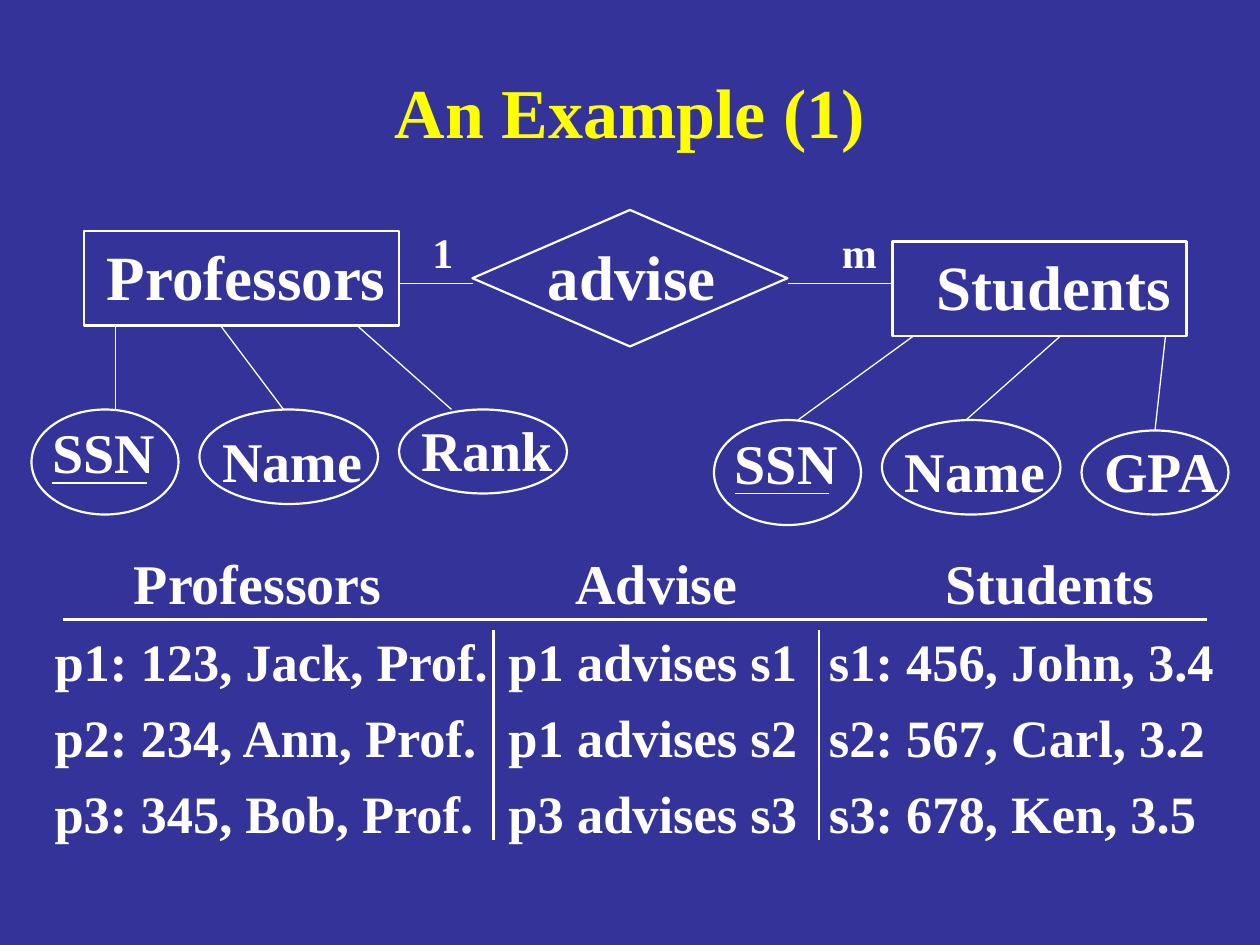
from dataclasses import dataclass

from lxml.etree import SubElement
from pptx import Presentation
from pptx.dml.color import RGBColor
from pptx.enum.shapes import MSO_CONNECTOR, MSO_SHAPE
from pptx.enum.text import MSO_ANCHOR, MSO_AUTO_SIZE, PP_ALIGN
from pptx.oxml.ns import qn
from pptx.util import Cm, Pt


@dataclass(frozen=True)
class Theme:
    font: str = "Times New Roman"
    background: RGBColor = RGBColor(0x33, 0x33, 0x99)
    title_color: RGBColor = RGBColor(0xFF, 0xFF, 0x00)
    ink: RGBColor = RGBColor(0xFF, 0xFF, 0xFF)
    title: int = 40
    entity: int = 36
    attribute: int = 32
    cardinality: int = 24
    header: int = 32
    row: int = 30
    thin: float = 0.75
    outline: float = 1.25
    rule: float = 1.5


def grid(n):
    """Length of n grid units; the slide is 120 units wide and 90 high."""
    return Cm(n * 25.4 / 120)


class Deck:
    def __init__(self, prs, theme):
        self.prs, self.theme, self.s = prs, theme, None

    def add_slide(self, title):
        self.s = self.prs.slides.add_slide(self.prs.slide_layouts[5])
        fill = self.s.background.fill
        fill.solid()
        fill.fore_color.rgb = self.theme.background
        sp = self.s.shapes.title
        sp.left, sp.top, sp.width, sp.height = map(grid, (9, 5, 102, 11))
        tf = sp.text_frame
        tf.text = title
        tf.auto_size = MSO_AUTO_SIZE.NONE
        tf.vertical_anchor = MSO_ANCHOR.MIDDLE
        tf.paragraphs[0].alignment = PP_ALIGN.CENTER
        self.style(tf, self.theme.title, self.theme.title_color)

    def style(self, tf, size, color=None):
        for p in tf.paragraphs:
            for r in p.runs:
                r.font.name = self.theme.font
                r.font.size = Pt(size)
                r.font.bold = True
                r.font.color.rgb = color or self.theme.ink

    def outline(self, kind, box):
        sp = self.s.shapes.add_shape(kind, *map(grid, box))
        sp.shadow.inherit = False
        sp.fill.background()
        sp.line.color.rgb = self.theme.ink
        sp.line.width = Pt(self.theme.outline)

    def label(self, text, left, top, width, size):
        box = map(grid, (left, top, width, size * 0.24))
        tf = self.s.shapes.add_textbox(*box).text_frame
        tf.word_wrap = False
        tf.auto_size = MSO_AUTO_SIZE.SHAPE_TO_FIT_TEXT
        tf.text = text
        self.style(tf, size)

    def line(self, x1, y1, x2, y2, width=None):
        ends = map(grid, (x1, y1, x2, y2))
        cn = self.s.shapes.add_connector(MSO_CONNECTOR.STRAIGHT, *ends)
        cn.line.color.rgb = self.theme.ink
        cn.line.width = Pt(width or self.theme.thin)
        SubElement(cn._element.spPr, qn("a:effectLst"))

    def attribute(self, text, ellipse, label, link, key=False):
        self.outline(MSO_SHAPE.OVAL, ellipse)
        self.label(text, *label, self.theme.attribute)
        self.line(*link)
        if key:
            x, y = ellipse[:2]
            self.line(x + 2, y + 7, x + 11, y + 7)

    def table(self, rows, left, top, widths, heights, margins, indents):
        gf = self.s.shapes.add_table(len(rows), len(widths), left, top,
                                     sum(widths), sum(heights))
        tbl = gf.table
        tbl.first_row = tbl.horz_banding = False
        for col, width in zip(tbl.columns, widths):
            col.width = width
        for i, values in enumerate(rows):
            tbl.rows[i].height = heights[i]
            size = self.theme.row if i else self.theme.header
            for j, text in enumerate(values):
                cell = tbl.cell(i, j)
                cell.text = text
                cell.margin_left = margins[j] if i else indents[j]
                cell.margin_right = cell.margin_top = cell.margin_bottom = 0
                self.style(cell.text_frame, size)
                # Borders come before the fill in the cell properties
                pr = cell._tc.get_or_add_tcPr()
                for side in ("a:lnL", "a:lnR", "a:lnT", "a:lnB"):
                    SubElement(SubElement(pr, qn(side)), qn("a:noFill"))
                cell.fill.background()


def main():
    prs = Presentation()
    prs.slide_width, prs.slide_height = Cm(25.4), Cm(19.05)
    theme = Theme()
    deck = Deck(prs, theme)
    deck.add_slide("An Example (1)")

    # Entities and their relationship
    for kind, box, text, label in (
        (MSO_SHAPE.RECTANGLE, (8, 22, 30, 9), "Professors", (9, 22, 29.2)),
        (MSO_SHAPE.DIAMOND, (45, 20, 30, 13), "advise", (51, 22, 18.6)),
        (MSO_SHAPE.RECTANGLE, (85, 23, 28, 9), "Students", (88, 23, 25)),
    ):
        deck.outline(kind, box)
        deck.label(text, *label, theme.entity)

    # Cardinalities
    for text, left, width, x1, x2 in (("1", 40, 4.5, 38, 45),
                                      ("m", 79, 6, 75, 85)):
        deck.label(text, left, 21, width, theme.cardinality)
        deck.line(x1, 27, x2, 27)

    # Attributes: ellipse, label place and width, link, key
    for attribute in (
        ("SSN", (3, 39, 14, 10), (3.8, 39.2, 12.4), (11, 39, 11, 31), True),
        ("Name", (19, 39, 17, 9), (20, 40, 16), (27, 39, 21, 31)),
        ("Rank", (38, 39, 16, 8), (39, 39, 15), (34, 31, 43, 39)),
        ("SSN", (68, 40, 14, 10), (68.8, 40.2, 12.4), (76, 40, 87, 32), True),
        ("Name", (84, 40, 17, 9), (85, 41, 16), (92, 40, 101, 32)),
        ("GPA", (103, 41, 14, 8), (104, 41, 13.8), (111, 32, 110, 41)),
    ):
        deck.attribute(*attribute)

    # Instances
    deck.table(
        (("Professors", "Advise", "Students"),
         ("p1: 123, Jack, Prof.", "p1 advises s1", "s1: 456, John, 3.4"),
         ("p2: 234, Ann, Prof.", "p1 advises s2", "s2: 567, Carl, 3.2"),
         ("p3: 345, Bob, Prof.", "p3 advises s3", "s3: 678, Ken, 3.5")),
        left=Cm(1.1), top=Cm(11.18),
        widths=[Cm(8.85), Cm(6.56), Cm(8.3)],
        heights=[Cm(1.61)] + [Cm(1.53)] * 3,
        margins=[0, Cm(0.3), Cm(0.2)],
        indents=[Cm(1.6), Cm(1.65), Cm(2.55)],
    )
    deck.line(6, 59, 115, 59, theme.rule)
    for x in (47, 78):
        deck.line(x, 60, x, 80, theme.rule)

    prs.save("out.pptx")


if __name__ == "__main__":
    main()
